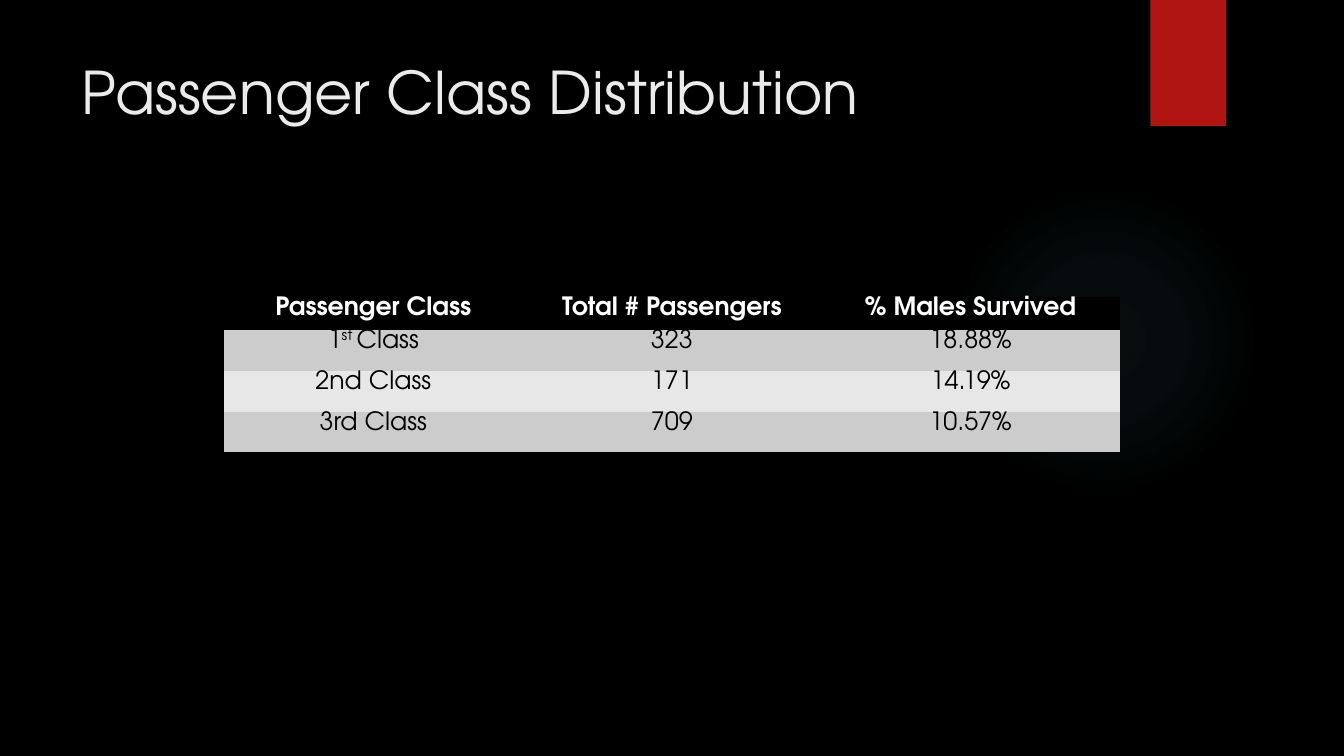
from lxml.etree import SubElement
from pptx import Presentation
from pptx.dml.color import RGBColor
from pptx.enum.shapes import MSO_SHAPE as Preset
from pptx.enum.text import MSO_ANCHOR as Anchor, PP_ALIGN as Align
from pptx.oxml.ns import qn
from pptx.util import Pt

FONT = "TeX Gyre Adventor"
CLASS_ROWS = [
    ["Passenger Class", "Total # Passengers", "% Males Survived"],
    [[("1", 0), ("st ", 30), ("Class", 0)], "323", "18.88%"],
    ["2nd Class", "171", "14.19%"],
    ["3rd Class", "709", "10.57%"],
]


def color(hex_value):
    return RGBColor.from_string(hex_value)


def add_run(paragraph, text, size, hex_value, bold=False, baseline=0):
    run = paragraph.add_run()
    run.text = text
    font = run.font
    font.name, font.size, font.bold = FONT, Pt(size), bold
    font.color.rgb = color(hex_value)
    if baseline:
        font._element.set("baseline", str(baseline * 1000))


def add_shape(slide, preset, left, top, width, height, hex_value):
    shape = slide.shapes.add_shape(preset, Pt(left), Pt(top), Pt(width), Pt(height))
    shape.shadow.inherit = False
    shape.fill.solid()
    shape.fill.fore_color.rgb = color(hex_value)
    shape.line.fill.background()
    return shape


def add_glow(slide, left, top, size):
    glow = add_shape(slide, Preset.OVAL, left, top, size, size, "50B9C1")
    solid = glow._element.spPr.find(qn("a:solidFill"))
    gradient = solid.makeelement(qn("a:gradFill"), {"rotWithShape": "1"})
    stops = SubElement(gradient, qn("a:gsLst"))
    for position, opacity in [(0, 7), (36, 6), (69, 0)]:
        stop = SubElement(stops, qn("a:gs"), pos=str(position * 1000))
        stop_color = SubElement(stop, qn("a:srgbClr"), val="50B9C1")
        SubElement(stop_color, qn("a:alpha"), val=str(opacity * 1000))
    circle = SubElement(gradient, qn("a:path"), path="circle")
    SubElement(circle, qn("a:fillToRect"), l="50000", t="50000", r="50000", b="50000")
    solid.getparent().replace(solid, gradient)


def add_ribbon(slide, left, top, width, height):
    ribbon = add_shape(slide, Preset.RECTANGLE, left, top, width, height, "B01513")
    effects = ribbon._element.spPr.find(qn("a:effectLst"))
    shadow = SubElement(effects, qn("a:outerShdw"), blurRad=str(Pt(3)),
                        dist=str(Pt(2)), dir="5400000", rotWithShape="0")
    shadow_color = SubElement(shadow, qn("a:srgbClr"), val="000000")
    SubElement(shadow_color, qn("a:alpha"), val="45000")


def add_title(slide, left, top, width, height):
    frame = slide.shapes.add_textbox(Pt(left), Pt(top), Pt(width), Pt(height)).text_frame
    frame.word_wrap = True
    frame.vertical_anchor = Anchor.TOP
    add_run(frame.paragraphs[0], "Passenger Class Distribution", 42, "EBEBEB")


def fill_cell(cell, content, fill, text_color, bold):
    cell.fill.solid()
    cell.fill.fore_color.rgb = color(fill)
    cell.margin_top = cell.margin_bottom = 0
    cell.vertical_anchor = Anchor.TOP
    paragraph = cell.text_frame.paragraphs[0]
    paragraph.alignment = Align.CENTER
    runs = [(content, 0)] if isinstance(content, str) else content
    for text, baseline in runs:
        add_run(paragraph, text, 18, text_color, bold, baseline)


def add_class_table(slide, left, top, width, header_height, row_height):
    row_count, column_count = len(CLASS_ROWS), len(CLASS_ROWS[0])
    height = header_height + row_height * (row_count - 1)
    table = slide.shapes.add_table(row_count, column_count, Pt(left), Pt(top),
                                   Pt(width), Pt(height)).table
    for column in table.columns:
        column.width = Pt(width / column_count)
    for row_index, values in enumerate(CLASS_ROWS):
        header = row_index == 0
        table.rows[row_index].height = Pt(header_height if header else row_height)
        fill = "000000" if header else ("E7E7E7", "CCCCCC")[row_index % 2]
        text_color = "FFFFFF" if header else "000000"
        for column_index, content in enumerate(values):
            fill_cell(table.cell(row_index, column_index), content, fill, text_color, header)
    table._tbl.tblPr.find(qn("a:tableStyleId")).text = "{2D5ABB26-0587-4C30-8999-92F81FD0307C}"


def build_slide(presentation):
    slide = presentation.slides.add_slide(presentation.slide_layouts[6])
    slide.background.fill.solid()
    slide.background.fill.fore_color.rgb = color("000000")
    add_glow(slide, 677.5, 131.75, 221.75)
    add_ribbon(slide, 821.75, 0, 54, 90)
    add_title(slide, 51, 36, 741, 110)
    add_class_table(slide, 160, 212, 640, 23.5, 29.25)


def main():
    presentation = Presentation()
    presentation.slide_width, presentation.slide_height = Pt(960), Pt(540)
    build_slide(presentation)
    presentation.save("out.pptx")


if __name__ == "__main__":
    main()
